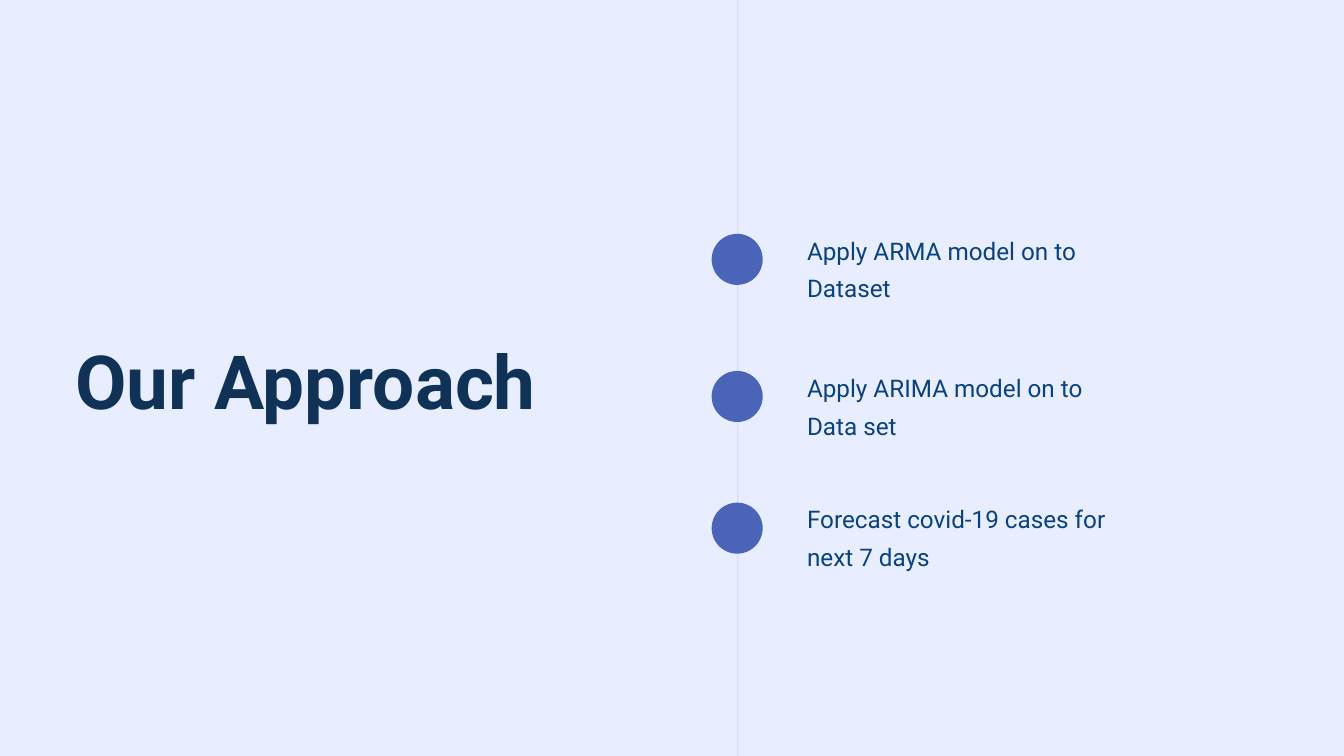
from lxml import etree
from pptx import Presentation
from pptx.dml.color import RGBColor
from pptx.enum.shapes import MSO_CONNECTOR, MSO_SHAPE
from pptx.enum.text import MSO_ANCHOR, MSO_AUTO_SIZE, PP_ALIGN
from pptx.oxml.ns import qn
from pptx.util import Emu, Pt

STRAIGHT = MSO_CONNECTOR.STRAIGHT
OVAL = MSO_SHAPE.OVAL
TOP = MSO_ANCHOR.TOP
NO_FIT = MSO_AUTO_SIZE.NONE
LEFT = PP_ALIGN.LEFT

BACKGROUND = RGBColor(0xE8, 0xEE, 0xFF)
TITLE_NAVY = RGBColor(0x0F, 0x32, 0x56)
STEP_BLUE = RGBColor(0x09, 0x42, 0x7D)
DOT_BLUE = RGBColor(0x4A, 0x64, 0xB8)
BLACK = RGBColor(0, 0, 0)

PX = 9144  # EMU in one px, 100 px to the inch
WIDTH, HEIGHT = 2000, 1125
TITLE_ONLY = 5

TITLE_FONT = {"name": "Roboto", "size": Pt(80), "bold": True}
STEP_FONT = {"name": "Roboto", "size": Pt(26), "bold": False}
FRAME_FORMAT = {
    "word_wrap": True, "auto_size": NO_FIT, "vertical_anchor": TOP,
    "margin_left": 0, "margin_top": 0, "margin_right": 0, "margin_bottom": 0,
}


def px(*lengths):
    return [Emu(length * PX) for length in lengths]


class SlideBuilder:
    def __init__(self, presentation):
        self.slide = presentation.slides.add_slide(
            presentation.slide_layouts[TITLE_ONLY])
        self.slide.background.fill.solid()
        self.slide.background.fill.fore_color.rgb = BACKGROUND

    def fill_text(self, shape, text, font_format, color):
        frame = shape.text_frame
        for name, value in FRAME_FORMAT.items():
            setattr(frame, name, value)
        frame.text = text
        paragraph = frame.paragraphs[0]
        paragraph.alignment = LEFT
        paragraph.line_spacing = 1.3
        font = paragraph.runs[0].font
        for name, value in font_format.items():
            setattr(font, name, value)
        font.color.rgb = color

    def title(self, text, left, top, width, height):
        shape = self.slide.shapes.title
        shape.left, shape.top, shape.width, shape.height = px(
            left, top, width, height)
        self.fill_text(shape, text, TITLE_FONT, TITLE_NAVY)

    def text(self, text, left, top, width, height):
        shape = self.slide.shapes.add_textbox(*px(left, top, width, height))
        self.fill_text(shape, text, STEP_FONT, STEP_BLUE)

    def vertical_line(self, x, top, bottom):
        line = self.slide.shapes.add_connector(
            STRAIGHT, *px(x, top, x, bottom))
        line.line.width = Pt(0.75)
        line.line.color.rgb = BLACK
        # 19 % opacity and no shadow
        properties = line._element.spPr
        color = properties.find(".//" + qn("a:srgbClr"))
        etree.SubElement(color, qn("a:alpha"), val="19000")
        etree.SubElement(properties, qn("a:effectLst"))

    def dot(self, left, top, size):
        shape = self.slide.shapes.add_shape(OVAL, *px(left, top, size, size))
        shape.shadow.inherit = False
        shape.fill.solid()
        shape.fill.fore_color.rgb = DOT_BLUE
        shape.line.fill.background()


def main():
    presentation = Presentation()
    presentation.slide_width, presentation.slide_height = px(WIDTH, HEIGHT)
    builder = SlideBuilder(presentation)

    builder.title("Our Approach", 112, 459, 738, 142)

    # Timeline
    builder.vertical_line(1098, 0, HEIGHT)
    steps = [
        (348, "Apply ARMA model on to Dataset"),
        (552, "Apply ARIMA model on to Data set"),
        (748, "Forecast covid-19 cases for next 7 days"),
    ]
    for top, text in steps:
        builder.dot(1059, top, 76)
        builder.text(text, 1201, top - 10, 486, 93)

    presentation.save("out.pptx")


if __name__ == "__main__":
    main()
